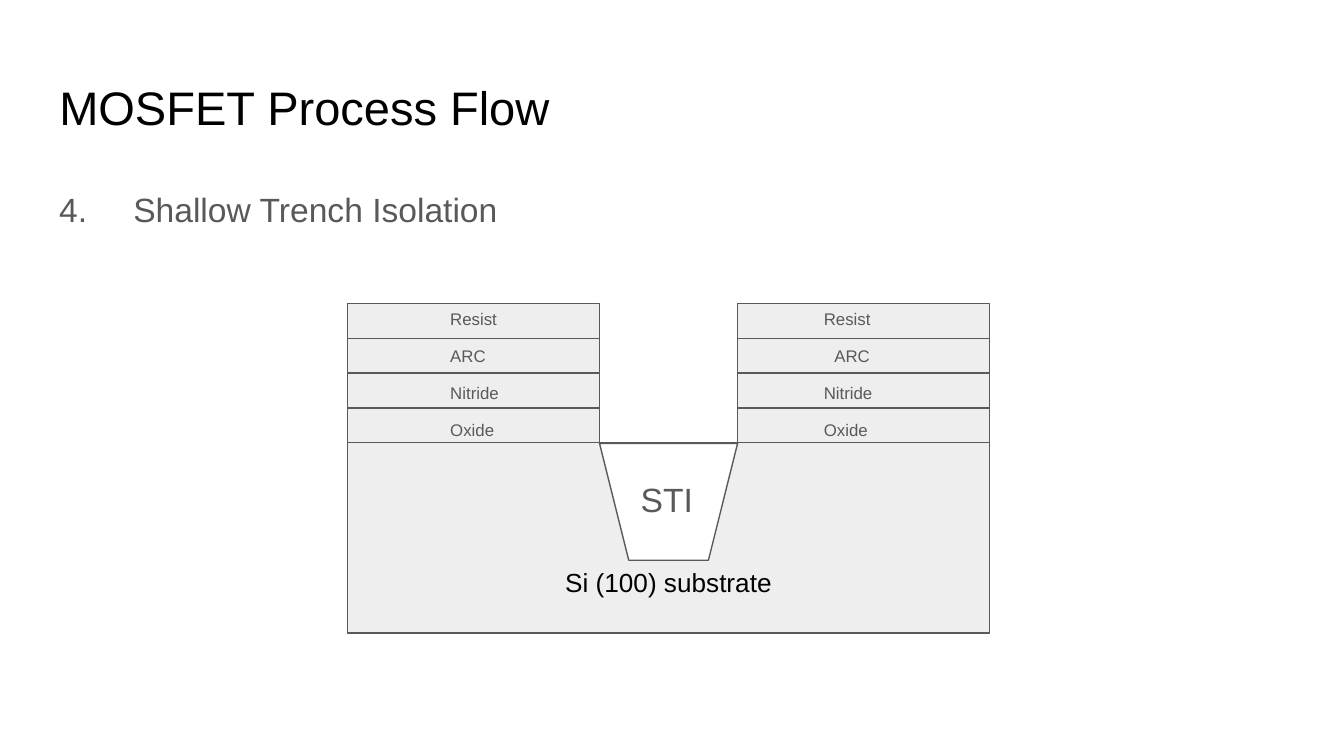
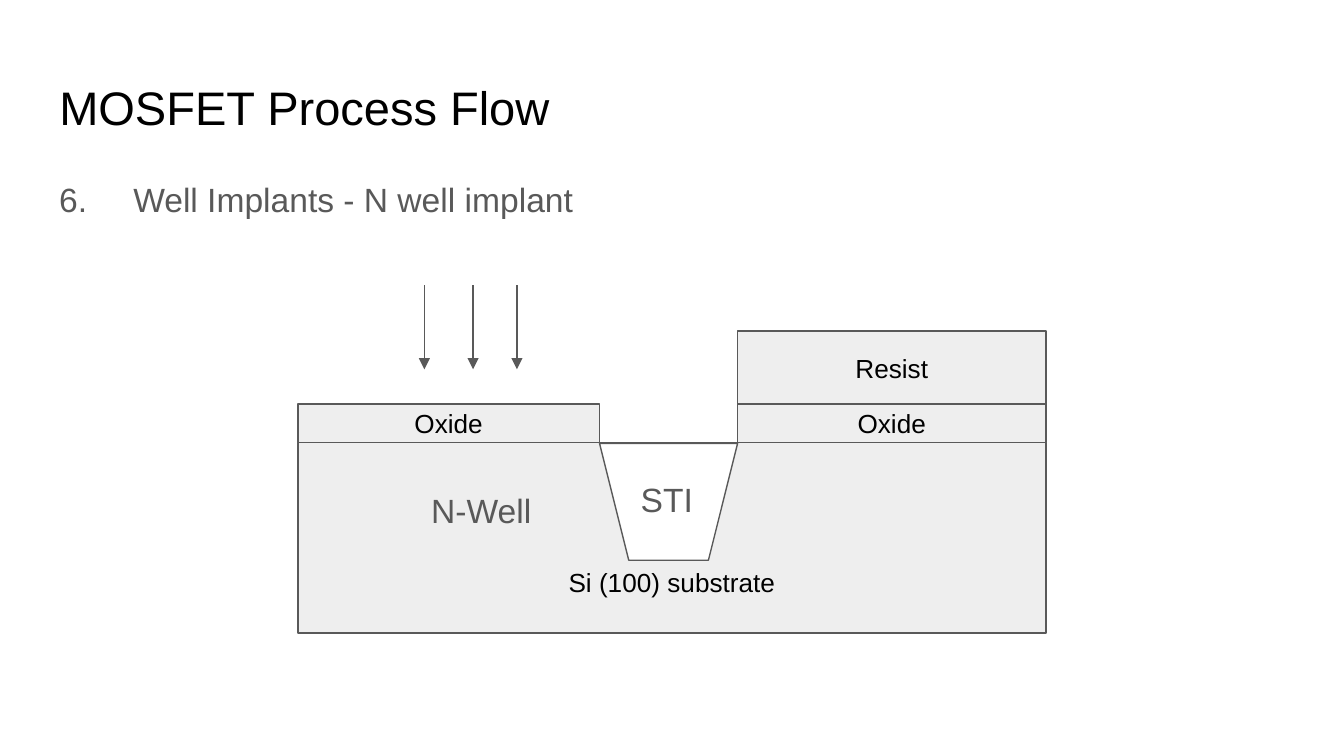
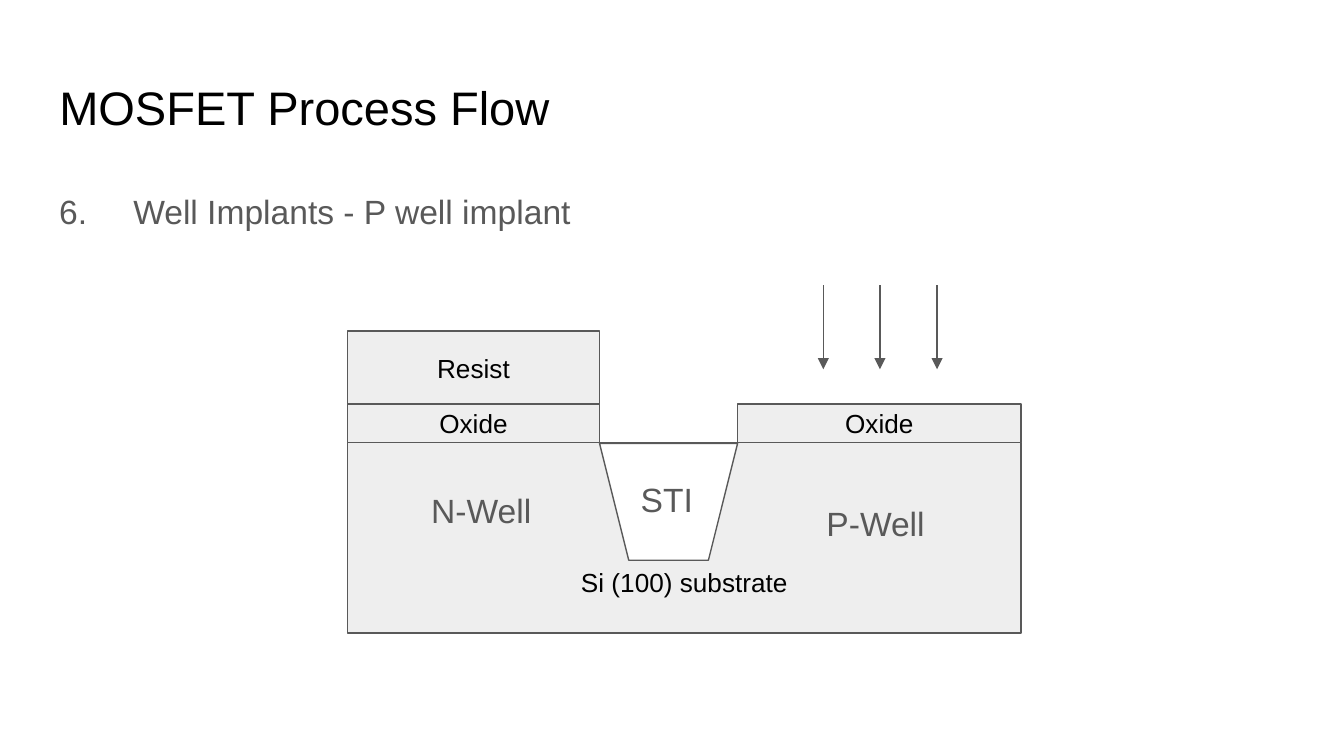
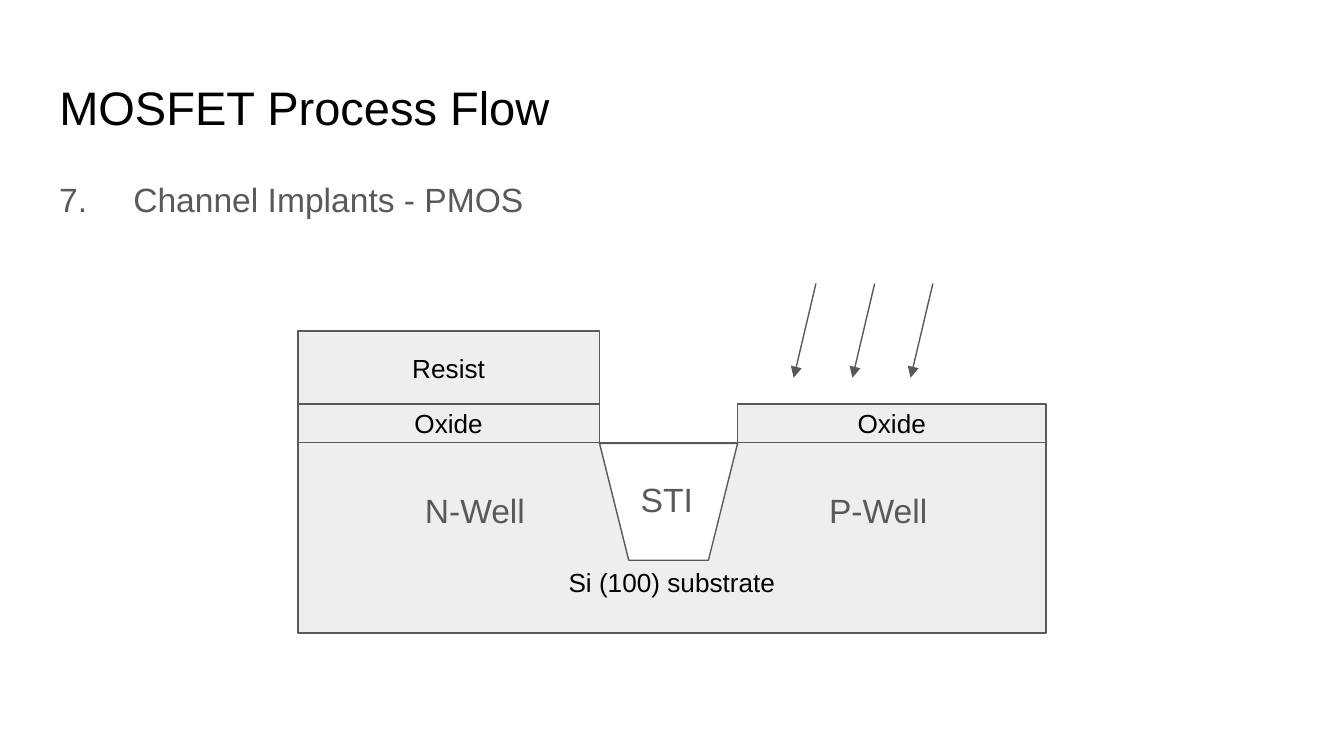
from dataclasses import dataclass

from lxml.etree import SubElement
from pptx import Presentation
from pptx.dml.color import RGBColor
from pptx.enum.shapes import MSO_CONNECTOR as Connector, MSO_SHAPE as Preset
from pptx.enum.text import MSO_ANCHOR as Anchor, MSO_AUTO_SIZE as AutoSize, PP_ALIGN as Align
from pptx.oxml.ns import qn
from pptx.shapes.autoshape import Shape
from pptx.slide import Slide
from pptx.text.text import TextFrame
from pptx.util import Cm, Pt

COLORS = {"ink": "000000", "grey": "595959", "film": "EEEEEE", "white": "FFFFFF"}
FONT = "Arial"
TITLE = "MOSFET Process Flow"
INSET = 0.25
MARGIN, TEXT_WIDTH = 0.87, 23.67

TRENCH_LEFT, TRENCH_RIGHT = 11.33, 13.94
TRENCH_DEPTH = 2.21
SURFACE = 8.37
SUBSTRATE_HEIGHT = 3.6
OXIDE_HEIGHT, RESIST_HEIGHT = 0.73, 1.38
STACK = ("Resist", "ARC", "Nitride", "Oxide")
STACK_HEIGHT = 2.63


@dataclass(frozen=True)
class Label:
    text: str
    left: float
    top: float
    width: float = 3.76
    height: float = 1.02
    size: float = 18


@dataclass(frozen=True)
class Implant:
    starts: tuple[float, ...]
    top: float = 5.39
    bottom: float = 6.98
    drift: float = 0


@dataclass(frozen=True)
class Step:
    heading: str
    heading_top: float
    left: float
    right: float
    resist_side: str = ""
    implant: Implant | None = None
    wells: tuple[Label, ...] = ()


STI = Label("STI", 11.86, 8.81, 1.5, 0.74)

STEPS = (
    Step("4.\tShallow Trench Isolation", 3.21, 6.57, 18.7),
    Step("6.\tWell Implants - N well implant", 3.02, 5.63, 19.77, "right",
         Implant((8.02, 8.94, 9.77)), (Label("N-Well", 7.9, 9.02),)),
    Step("6.\tWell Implants - P well implant", 3.24, 6.57, 19.3, "left",
         Implant((15.56, 16.63, 17.71)),
         (Label("N-Well", 7.9, 9.02), Label("P-Well", 15.37, 9.25))),
    Step("7.\tChannel Implants - PMOS", 3.02, 5.63, 19.77, "left",
         Implant((15.42, 16.53, 17.63), 5.36, 7.14, -0.42),
         (Label("N-Well", 7.78, 9.02), Label("P-Well", 15.42, 9.02))),
)


def color(name: str) -> RGBColor:
    return RGBColor.from_string(COLORS[name])


def write(frame: TextFrame, text: str, size: float, ink: str,
          align: Align = Align.LEFT, anchor: Anchor = Anchor.TOP) -> None:
    frame.word_wrap = True
    frame.auto_size = AutoSize.NONE
    frame.vertical_anchor = anchor
    frame.margin_left = frame.margin_top = Cm(INSET)
    frame.margin_right = frame.margin_bottom = Cm(INSET)
    paragraph = frame.paragraphs[0]
    paragraph.alignment = align
    run = paragraph.add_run()
    run.text = text
    run.font.name = FONT
    run.font.size = Pt(size)
    run.font.color.rgb = color(ink)


def add_label(slide: Slide, label: Label) -> None:
    box = slide.shapes.add_textbox(Cm(label.left), Cm(label.top), Cm(label.width), Cm(label.height))
    write(box.text_frame, label.text, label.size, "grey")
    box.text_frame.margin_right = 0


def add_region(slide: Slide, left: float, top: float, width: float, height: float,
               text: str = "", fill: str = "film", preset: Preset = Preset.RECTANGLE) -> Shape:
    region = slide.shapes.add_shape(preset, Cm(left), Cm(top), Cm(width), Cm(height))
    region.shadow.inherit = False
    region.fill.solid()
    region.fill.fore_color.rgb = color(fill)
    region.line.color.rgb = color("grey")
    region.line.width = Pt(0.75)
    if text:
        write(region.text_frame, text, 14, "ink", Align.CENTER, Anchor.MIDDLE)
    return region


def add_line(slide: Slide, start: tuple[float, float], end: tuple[float, float],
             arrow: bool = False, joined: Shape | None = None) -> None:
    line = slide.shapes.add_connector(Connector.STRAIGHT, *map(Cm, start + end))
    line.line.color.rgb = color("grey")
    line.line.width = Pt(0.75)
    if arrow:
        SubElement(line.element.spPr.get_or_add_ln(), qn("a:tailEnd"), type="triangle")
    SubElement(line.element.spPr, qn("a:effectLst"))
    if joined is not None:
        line.begin_connect(joined, 1)
        line.end_connect(joined, 3)


def add_headings(slide: Slide, step: Step) -> None:
    title = slide.shapes.title
    title.left, title.top = Cm(MARGIN), Cm(1.24)
    title.width, title.height = Cm(TEXT_WIDTH), Cm(1.6)
    write(title.text_frame, TITLE, 25.2, "ink")

    heading = slide.shapes.add_textbox(Cm(MARGIN), Cm(step.heading_top), Cm(TEXT_WIDTH), Cm(9.5))
    write(heading.text_frame, step.heading, 18, "grey")
    paragraph = heading.text_frame.paragraphs[0]
    paragraph.line_spacing = 1.15
    paragraph.space_after = Pt(12)
    hanging = Cm(1.4)
    properties = paragraph._p.get_or_add_pPr()
    properties.set("marL", str(hanging))
    properties.set("indent", str(-hanging))


def add_stack(slide: Slide, left: float, right: float, label_left: float, arc_shift: float) -> None:
    top = SURFACE - STACK_HEIGHT
    stack = add_region(slide, left, top, right - left, STACK_HEIGHT)
    for row, film in enumerate(STACK):
        if row:
            y = top + row * STACK_HEIGHT / len(STACK)
            middle = row * 2 == len(STACK)
            add_line(slide, (left, y), (right, y), joined=stack if middle else None)
        shift = arc_shift if film == "ARC" else 0
        add_label(slide, Label(film, label_left + shift, 5.61 + 0.7 * row, 2.49, 0.46, 9))


def add_films(slide: Slide, step: Step, sides: dict[str, tuple[float, float]]) -> None:
    oxide_top = SURFACE - OXIDE_HEIGHT
    for side, (left, right) in sides.items():
        add_region(slide, left, oxide_top, right - left, OXIDE_HEIGHT, "Oxide")
        if side == step.resist_side:
            add_region(slide, left, oxide_top - RESIST_HEIGHT, right - left, RESIST_HEIGHT, "Resist")


def add_wafer(slide: Slide, step: Step) -> None:
    substrate = add_region(slide, step.left, SURFACE, step.right - step.left,
                           SUBSTRATE_HEIGHT, "Si (100) substrate")
    substrate.text_frame.vertical_anchor = Anchor.BOTTOM
    substrate.text_frame.margin_bottom = Cm(0.67)

    sides = {"left": (step.left, TRENCH_LEFT), "right": (TRENCH_RIGHT, step.right)}
    if step.resist_side:
        add_films(slide, step, sides)
    else:
        add_stack(slide, *sides["left"], 8.26, 0)
        add_stack(slide, *sides["right"], 15.32, 0.2)

    trench = add_region(slide, TRENCH_LEFT, SURFACE + 0.01, TRENCH_RIGHT - TRENCH_LEFT,
                        TRENCH_DEPTH, fill="white", preset=Preset.TRAPEZOID)
    trench.adjustments[0] = 0.25
    trench.rotation = 180
    for label in (STI, *step.wells):
        add_label(slide, label)


def add_implant(slide: Slide, implant: Implant) -> None:
    for x in implant.starts:
        add_line(slide, (x, implant.top), (x + implant.drift, implant.bottom), arrow=True)


def main() -> None:
    deck = Presentation()
    deck.slide_width, deck.slide_height = Cm(25.4), Cm(14.29)
    title_only = deck.slide_layouts[5]
    for step in STEPS:
        slide = deck.slides.add_slide(title_only)
        add_headings(slide, step)
        add_wafer(slide, step)
        if step.implant:
            add_implant(slide, step.implant)
    deck.save("out.pptx")


if __name__ == "__main__":
    main()
